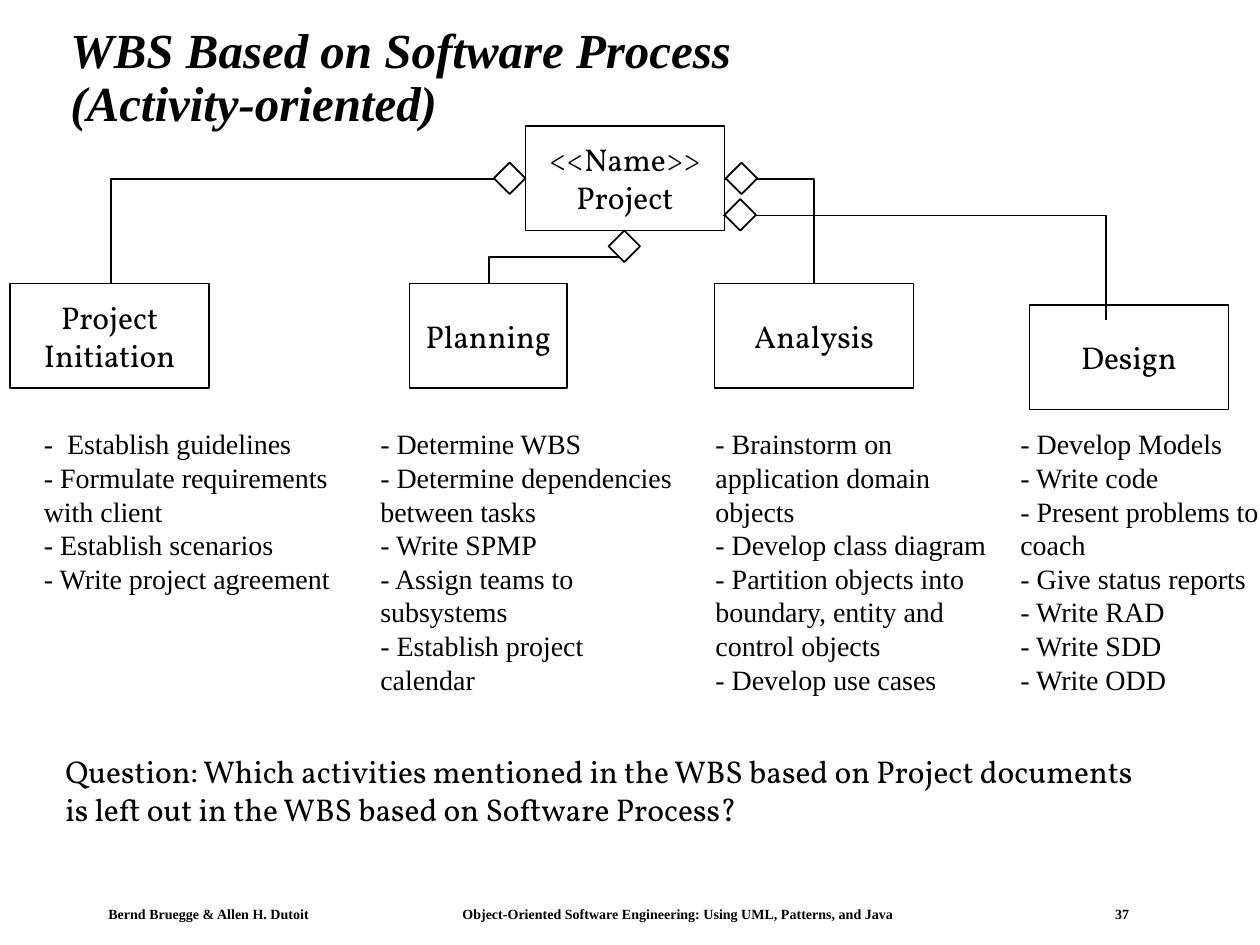
import dataclasses

import lxml.etree
import pptx
import pptx.dml.color
import pptx.enum.shapes
import pptx.enum.text
import pptx.oxml.ns
import pptx.util

Inches = pptx.util.Inches
Pt = pptx.util.Pt
qualified = pptx.oxml.ns.qn
Align = pptx.enum.text.PP_ALIGN
Anchor = pptx.enum.text.MSO_ANCHOR
Preset = pptx.enum.shapes.MSO_SHAPE

COLORS = {"ink": "000000", "paper": "FFFFFF"}
SERIF = "Times New Roman"
DISPLAY = "Vollkorn"
TITLE_FONT = {"name": SERIF, "size": Pt(28), "bold": True, "italic": True}
BOX_FONT = {"name": DISPLAY, "size": Pt(18)}
LIST_FONT = {"name": SERIF, "size": Pt(16)}
FOOTER_FONT = {"name": SERIF, "size": Pt(8), "bold": True}
LINE_WIDTH = Pt(1)
BOX_HEIGHT = 0.83
DIAMOND_SIZE = 0.25
LIST_TOP = 3.34


@dataclasses.dataclass
class Box:
    left: float
    top: float
    width: float
    lines: list[str]


@dataclasses.dataclass
class TaskList:
    left: float
    width: float
    height: float
    tasks: list[str]


@dataclasses.dataclass
class Link:
    start: tuple[float, float]
    end: tuple[float, float]
    preset: str = "bentConnector2"
    rotation: int = 0


BOXES = [
    Box(4.17, 1, 1.58, ["<<Name>>", "Project"]),
    Box(0.08, 2.25, 1.58, ["Project", "Initiation"]),
    Box(3.25, 2.25, 1.25, ["Planning"]),
    Box(5.67, 2.25, 1.58, ["Analysis"]),
    Box(8.17, 2.42, 1.58, ["Design"]),
]
TASK_LISTS = [
    TaskList(0.25, 2.67, 1.7, [
        "-  Establish guidelines",
        "- Formulate requirements with client",
        "- Establish scenarios",
        "- Write project agreement",
    ]),
    TaskList(2.92, 2.58, 2.24, [
        "- Determine WBS",
        "- Determine dependencies between tasks",
        "- Write SPMP",
        "- Assign teams to subsystems",
        "- Establish project calendar",
    ]),
    TaskList(5.58, 2.42, 2.24, [
        "- Brainstorm on application domain objects",
        "- Develop class diagram",
        "- Partition objects into boundary, entity and control objects",
        "- Develop use cases",
    ]),
    TaskList(8, 2.42, 2.24, [
        "- Develop Models",
        "- Write code",
        "- Present problems to coach",
        "- Give status reports",
        "- Write RAD",
        "- Write SDD",
        "- Write ODD",
    ]),
]
LINKS = [
    Link((4.17, 1.42), (0.88, 2.25)),
    Link((4.21, 1.5), (4.63, 2.58), "bentConnector3", 90),
    Link((5.75, 1.42), (6.46, 2.25)),
    Link((5.74, 1.71), (8.78, 2.54)),
]
DIAMONDS = [(3.92, 1.29), (4.83, 1.83), (5.76, 1.29), (5.75, 1.58)]
FOOTER = [
    "Bernd Bruegge & Allen H. Dutoit",
    "Object-Oriented Software Engineering: Using UML, Patterns, and Java",
    "37",
]
FOOTER_STOPS = [2.81, 7.99]


def color(name: str):
    return pptx.dml.color.RGBColor.from_string(COLORS[name])


def set_all(target, values: dict) -> None:
    for name, value in values.items():
        setattr(target, name, value)


def write(shape, lines: list[str], font: dict, frame: dict, paragraph_format: dict) -> None:
    text_frame = shape.text_frame
    set_all(text_frame, frame)
    text_frame.text = "\n".join(lines)
    for paragraph in text_frame.paragraphs:
        set_all(paragraph, paragraph_format)
        for run in paragraph.runs:
            set_all(run.font, font)
            run.font.color.rgb = color("ink")


def add_text(slide, bounds: tuple, lines: list[str], font: dict, frame: dict | None = None,
             paragraph_format: dict | None = None):
    shape = slide.shapes.add_textbox(*map(Inches, bounds))
    write(shape, lines, font, {"word_wrap": True, **(frame or {})}, paragraph_format or {})
    return shape


def add_outlined(slide, preset, bounds: tuple):
    shape = slide.shapes.add_shape(preset, *map(Inches, bounds))
    shape.shadow.inherit = False
    shape.fill.solid()
    shape.fill.fore_color.rgb = color("paper")
    shape.line.color.rgb = color("ink")
    shape.line.width = LINE_WIDTH
    return shape


def add_box(slide, box: Box) -> None:
    shape = add_outlined(slide, Preset.RECTANGLE, (box.left, box.top, box.width, BOX_HEIGHT))
    write(shape, box.lines, BOX_FONT,
          {"word_wrap": False, "vertical_anchor": Anchor.MIDDLE}, {"alignment": Align.CENTER})


def add_link(slide, link: Link) -> None:
    connector = slide.shapes.add_connector(
        pptx.enum.shapes.MSO_CONNECTOR.ELBOW, *map(Inches, link.start + link.end))
    connector.line.color.rgb = color("ink")
    connector.line.width = LINE_WIDTH
    properties = connector._element.spPr
    properties.find(qualified("a:prstGeom")).set("prst", link.preset)
    if link.rotation:
        properties.find(qualified("a:xfrm")).set("rot", str(link.rotation * 60000))
    lxml.etree.SubElement(properties, qualified("a:effectLst"))


def add_footer(slide) -> None:
    margins = {"margin_left": Inches(0.08), "margin_right": Inches(0.08),
               "margin_top": Inches(0.04), "margin_bottom": Inches(0.04)}
    shape = add_text(slide, (0.78, 7.15, 8.35, 0.21), ["\t".join(FOOTER)], FOOTER_FONT, margins)
    properties = shape.text_frame.paragraphs[0]._p.get_or_add_pPr()
    stops = lxml.etree.SubElement(properties, qualified("a:tabLst"))
    for position in FOOTER_STOPS:
        lxml.etree.SubElement(stops, qualified("a:tab"), pos=str(Inches(position)), algn="l")


def main() -> None:
    presentation = pptx.Presentation()
    set_all(presentation, {"slide_width": Inches(10), "slide_height": Inches(7.5)})
    slide = presentation.slides.add_slide(presentation.slide_layouts[6])
    add_footer(slide)
    add_text(slide, (0.46, 0.24, 8.92, 0.77),
             ["WBS Based on Software Process\v(Activity-oriented)"], TITLE_FONT,
             {"vertical_anchor": Anchor.MIDDLE}, {"line_spacing": 0.9})
    for box in BOXES:
        add_box(slide, box)
    for task_list in TASK_LISTS:
        add_text(slide, (task_list.left, LIST_TOP, task_list.width, task_list.height),
                 task_list.tasks, LIST_FONT)
    for link in LINKS:
        add_link(slide, link)
    for left, top in DIAMONDS:
        add_outlined(slide, Preset.DIAMOND, (left, top, DIAMOND_SIZE, DIAMOND_SIZE))
    add_text(slide, (0.42, 5.92, 8.82, 0.7), [
        "Question: Which activities mentioned in the WBS based on Project documents",
        "is left out in the WBS based on Software Process?",
    ], BOX_FONT)
    presentation.save("out.pptx")


if __name__ == "__main__":
    main()
